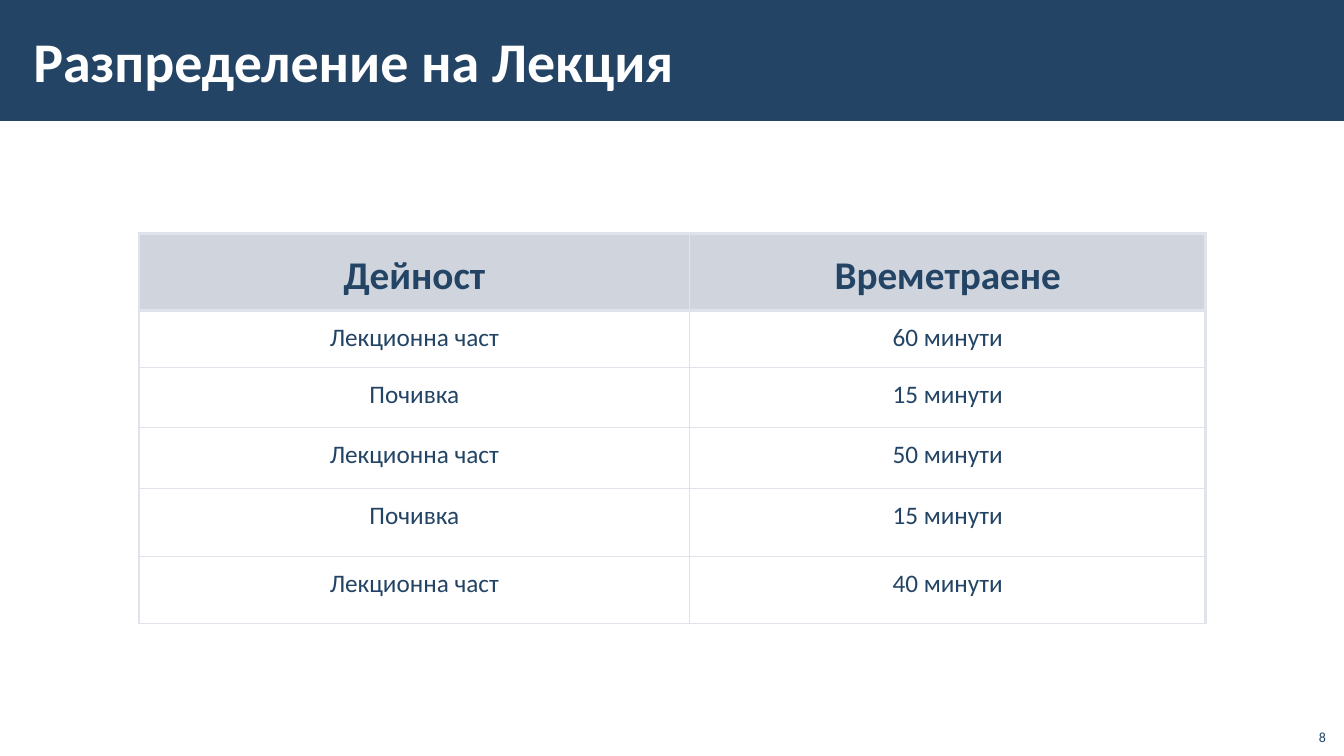
from dataclasses import dataclass

from lxml.etree import SubElement
from pptx import Presentation
from pptx.dml.color import RGBColor
from pptx.enum.shapes import MSO_SHAPE
from pptx.enum.text import MSO_ANCHOR, PP_ALIGN
from pptx.oxml.ns import qn
from pptx.util import Inches, Pt


@dataclass(frozen=True)
class Theme:
    font: str = "Calibri"
    navy: str = "234465"
    white: str = "FFFFFF"
    header: str = "A3ABBC"
    border: str = "E0E3E9"
    title_size: int = 40
    header_size: int = 28
    body_size: int = 18
    number_size: int = 10
    thick: float = 2.25
    thin: float = 1


@dataclass(frozen=True)
class Row:
    activity: str
    duration: str
    height: float
    header: bool = False


T = Theme()
COLUMNS = (5.46, 5.12)
ROWS = (
    Row("Дейност", "Времетраене", 0.76, header=True),
    Row("Лекционна част", "60 минути", 0.57),
    Row("Почивка", "15 минути", 0.59),
    Row("Лекционна част", "50 минути", 0.61),
    Row("Почивка", "15 минути", 0.67),
    Row("Лекционна част", "40 минути", 0.67),
)


def write(tf, text: str, *, size: float, color: str = T.navy, bold: bool = False,
          align=PP_ALIGN.LEFT, spacing: float = 1.0) -> None:
    p = tf.paragraphs[0]
    p.alignment = align
    p.line_spacing = spacing
    p.space_before = Pt(0)
    r = p.add_run()
    r.text = text
    r.font.name = T.font
    r.font.size = Pt(size)
    r.font.bold = bold
    r.font.color.rgb = RGBColor.from_string(color)


def set_insets(tf, side: float, edge: float) -> None:
    tf.margin_left = tf.margin_right = Inches(side)
    tf.margin_top = tf.margin_bottom = Inches(edge)


def set_borders(cell, widths: dict[str, float]) -> None:
    # Border lines must precede the fill in the cell properties
    tc_pr = cell._tc.get_or_add_tcPr()
    for i, (side, width) in enumerate(widths.items()):
        ln = SubElement(tc_pr, qn(f"a:ln{side}"), w=str(Pt(width)))
        fill = SubElement(ln, qn("a:solidFill"))
        SubElement(fill, qn("a:srgbClr"), val=T.border)
        tc_pr.insert(i, ln)


def format_cell(cell, row: Row, text: str, widths: dict[str, float]) -> None:
    cell.margin_left = cell.margin_right = Inches(0.16 if row.header else 0.1)
    cell.margin_top, cell.margin_bottom = Inches(0.12), Inches(0.05)
    cell.vertical_anchor = MSO_ANCHOR.MIDDLE if row.header else MSO_ANCHOR.TOP
    write(cell.text_frame, text, bold=row.header, align=PP_ALIGN.CENTER,
          size=T.header_size if row.header else T.body_size,
          spacing=0.95 if row.header else 1.0)
    if row.header:
        cell.fill.solid()
        cell.fill.fore_color.rgb = RGBColor.from_string(T.header)
        color = cell._tc.tcPr.find(f"{qn('a:solidFill')}/{qn('a:srgbClr')}")
        SubElement(color, qn("a:alpha"), val="50000")
    else:
        cell.fill.background()
    set_borders(cell, widths)


def add_title(s, text: str) -> None:
    band = s.shapes.add_shape(MSO_SHAPE.RECTANGLE, 0, 0, Inches(13.34), Inches(1.2))
    band.shadow.inherit = False
    band.fill.solid()
    band.fill.fore_color.rgb = RGBColor.from_string(T.navy)
    band.line.fill.background()
    s.shapes._spTree.insert(2, band._element)  # behind the title

    title = s.shapes.title
    title.left, title.top = Inches(0.21), Inches(0.11)
    title.width, title.height = Inches(10.63), Inches(0.97)
    tf = title.text_frame
    tf.vertical_anchor = MSO_ANCHOR.MIDDLE
    set_insets(tf, 0.12, 0.04)
    write(tf, text, size=T.title_size, color=T.white, bold=True)


def add_schedule(s) -> None:
    frame = s.shapes.add_table(len(ROWS), len(COLUMNS), Inches(1.38), Inches(2.32),
                               Inches(sum(COLUMNS)), Inches(sum(r.height for r in ROWS)))
    table = frame.table
    table.first_row = table.horz_banding = False
    for column, width in zip(table.columns, COLUMNS):
        column.width = Inches(width)
    for i, row in enumerate(ROWS):
        table.rows[i].height = Inches(row.height)
        for j, text in enumerate((row.activity, row.duration)):
            # Thick lines frame the sides and the header
            widths = {
                "L": T.thick if j == 0 else T.thin,
                "R": T.thick if j == len(COLUMNS) - 1 else T.thin,
                "T": T.thick if i <= 1 else T.thin,
                "B": T.thick if row.header else T.thin,
            }
            format_cell(table.cell(i, j), row, text, widths)


def add_number(s, text: str) -> None:
    tb = s.shapes.add_textbox(Inches(12.85), Inches(7.12), Inches(0.4), Inches(0.32))
    tf = tb.text_frame
    tf.word_wrap = True
    tf.vertical_anchor = MSO_ANCHOR.BOTTOM
    set_insets(tf, 0.1, 0.05)
    write(tf, text, size=T.number_size, align=PP_ALIGN.RIGHT)


def main() -> None:
    prs = Presentation()
    prs.slide_width, prs.slide_height = Inches(13.33), Inches(7.5)
    s = prs.slides.add_slide(prs.slide_layouts[5])
    add_title(s, "Разпределение на Лекция")
    add_schedule(s)
    add_number(s, "8")
    prs.save("out.pptx")


if __name__ == "__main__":
    main()
